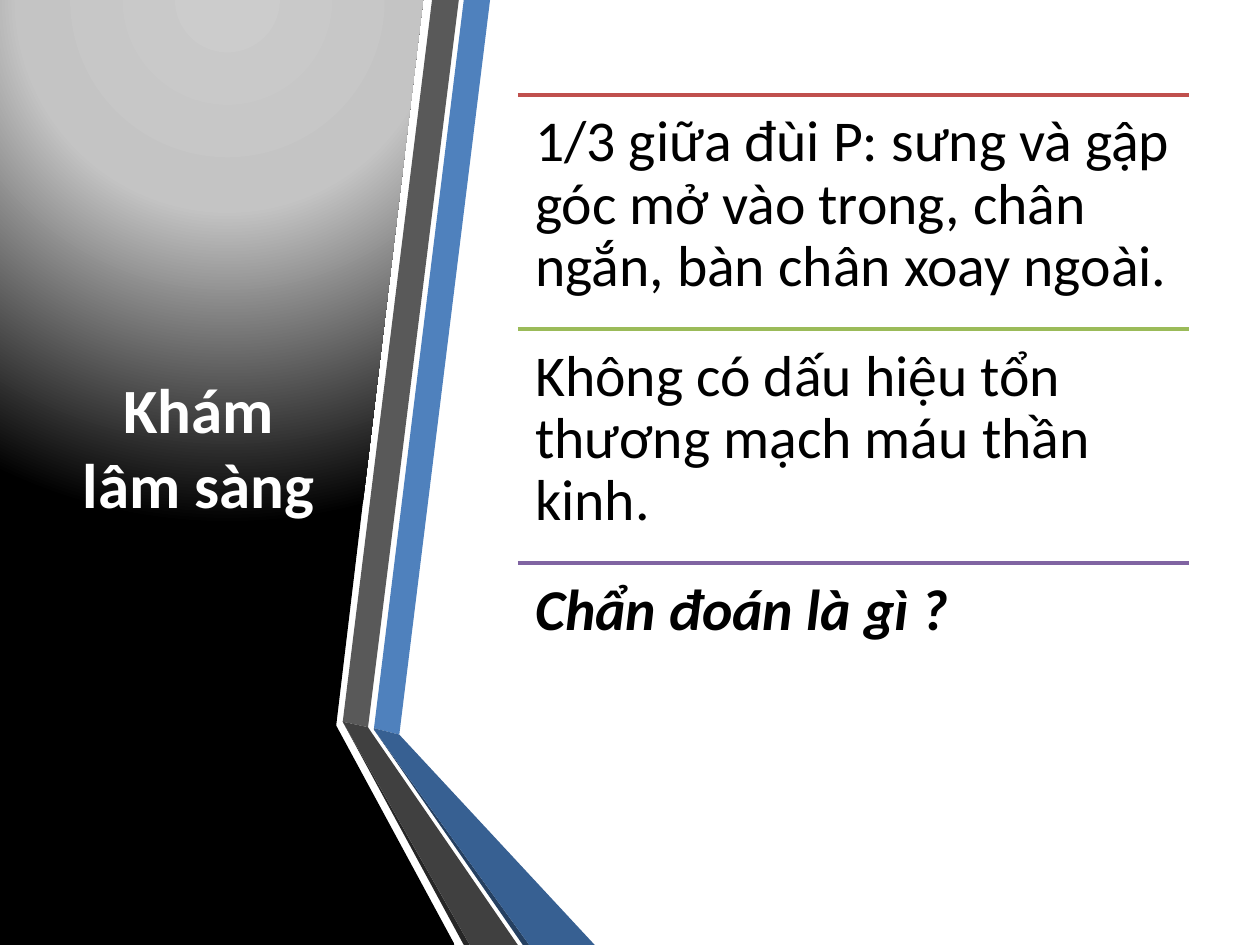
from lxml import etree
from pptx import Presentation
from pptx.dml.color import RGBColor
from pptx.enum.shapes import MSO_CONNECTOR
from pptx.enum.text import MSO_ANCHOR, PP_ALIGN
from pptx.oxml import parse_xml
from pptx.oxml.ns import qn
from pptx.util import Cm, Pt

BLACK = RGBColor(0x00, 0x00, 0x00)
WHITE = RGBColor(0xFF, 0xFF, 0xFF)
BLUE = RGBColor(0x4F, 0x81, 0xBD)
BLUE_SHADE = RGBColor(0x37, 0x60, 0x92)
NAVY = RGBColor(0x25, 0x40, 0x61)
GREY = RGBColor(0x59, 0x59, 0x59)
GREY_SHADE = RGBColor(0x40, 0x40, 0x40)
GREY_DARK = RGBColor(0x26, 0x26, 0x26)
RED = RGBColor(0xC0, 0x50, 0x4D)
GREEN = RGBColor(0x9B, 0xBB, 0x59)
PURPLE = RGBColor(0x80, 0x64, 0xA2)

PANEL_GRADIENT = """
<a:gradFill xmlns:a="http://schemas.openxmlformats.org/drawingml/2006/main" rotWithShape="1">
  <a:gsLst>
    <a:gs pos="0"><a:srgbClr val="CCCCCC"/></a:gs>
    <a:gs pos="40000"><a:srgbClr val="C4C4C4"/></a:gs>
    <a:gs pos="100000"><a:srgbClr val="000000"/></a:gs>
  </a:gsLst>
  <a:path path="circle"><a:fillToRect l="50000" t="-80000" r="50000" b="180000"/></a:path>
</a:gradFill>"""


def add_polygon(shapes, points, color):
    """Draw a closed outline whose points are in hundredths of a centimetre."""
    builder = shapes.build_freeform(*points[0], scale=Cm(0.01))
    builder.add_line_segments(points[1:], close=True)
    polygon = builder.convert_to_shape()
    polygon.shadow.inherit = False
    polygon.line.fill.background()
    polygon.fill.solid()
    polygon.fill.fore_color.rgb = color
    return polygon


def style_text(paragraph, size, color, bold=False, italic=False):
    for run in paragraph.runs:
        run.font.name = "Calibri"
        run.font.size = Pt(size)
        run.font.color.rgb = color
        run.font.bold = bold
        run.font.italic = italic


prs = Presentation()
prs.slide_width, prs.slide_height = Cm(25.4), Cm(19.05)
slide = prs.slides.add_slide(prs.slide_layouts[6])

# Dark panel on the left
panel = add_polygon(
    slide.shapes,
    [(671, 0), (853, 0), (678, 1461), (678, 1463), (917, 1905), (0, 1905), (0, 0)],
    BLACK,
)
solid_fill = panel.fill._xPr.find(qn("a:solidFill"))
solid_fill.getparent().replace(solid_fill, parse_xml(PANEL_GRADIENT))

# Folded ribbons along the panel edge
ribbons = slide.shapes.add_group_shape()
for color, points in [
    (BLUE, [(754, 1468), (805, 1481), (988, 0), (935, 0)]),
    (GREY, [(925, 0), (871, 0), (691, 1455), (742, 1466)]),
    (GREY_DARK, [(691, 1455), (935, 1905), (947, 1905)]),
    (NAVY, [(754, 1471), (1054, 1905), (1067, 1905)]),
    (BLUE_SHADE, [(754, 1471), (1067, 1905), (1199, 1905), (805, 1481), (754, 1468)]),
    (GREY_SHADE, [(1044, 1905), (752, 1481), (742, 1466), (691, 1455), (947, 1905)]),
]:
    add_polygon(ribbons.shapes, points, color)

# Title
title = slide.shapes.add_textbox(Cm(1.13), Cm(1.9), Cm(5.75), Cm(14.17)).text_frame
title.word_wrap = True
title.vertical_anchor = MSO_ANCHOR.MIDDLE
title.text = "Khám lâm sàng"
title.paragraphs[0].alignment = PP_ALIGN.CENTER
style_text(title.paragraphs[0], 36, WHITE, bold=True)

# Findings, each under a coloured rule
findings = slide.shapes.add_group_shape()
left, top, width, row_height = Cm(10.44), Cm(1.91), Cm(13.53), Cm(4.72)
for row, (color, wording, is_question) in enumerate([
    (RED, "1/3 giữa đùi P: sưng và gập góc mở vào trong, chân ngắn, bàn chân xoay ngoài.", False),
    (GREEN, "Không có dấu hiệu tổn thương mạch máu thần kinh.", False),
    (PURPLE, "Chẩn đoán là gì ?", True),
]):
    y = top + row * row_height
    rule = findings.shapes.add_connector(MSO_CONNECTOR.STRAIGHT, left, y, left + width, y)
    rule.line.color.rgb = color
    rule.line.width = Pt(2)
    etree.SubElement(rule._element.spPr, qn("a:effectLst"))

    finding = findings.shapes.add_textbox(left, y, width, row_height).text_frame
    finding.word_wrap = True
    finding.margin_left = finding.margin_right = Cm(0.35)
    finding.margin_top = finding.margin_bottom = Cm(0.35)
    finding.text = wording
    finding.paragraphs[0].line_spacing = 0.9
    style_text(finding.paragraphs[0], 33, BLACK, bold=is_question, italic=is_question)

prs.save("out.pptx")
